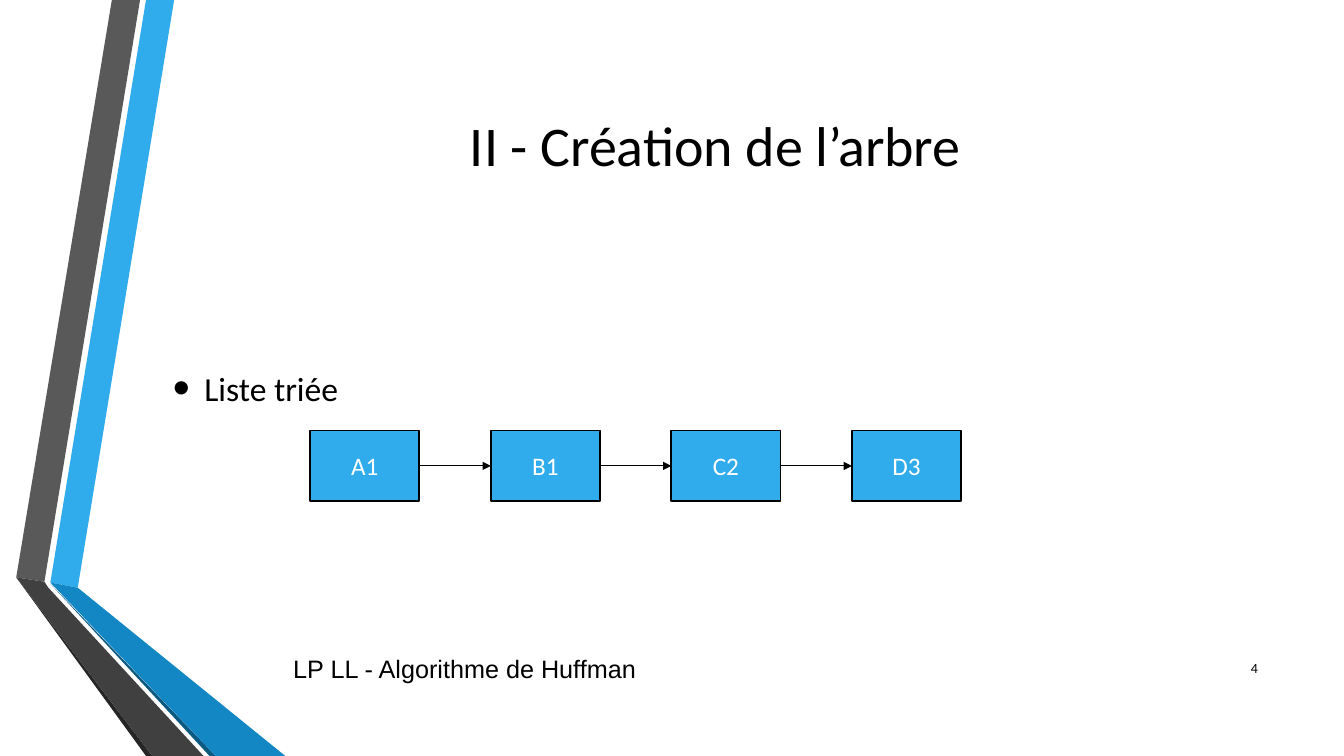
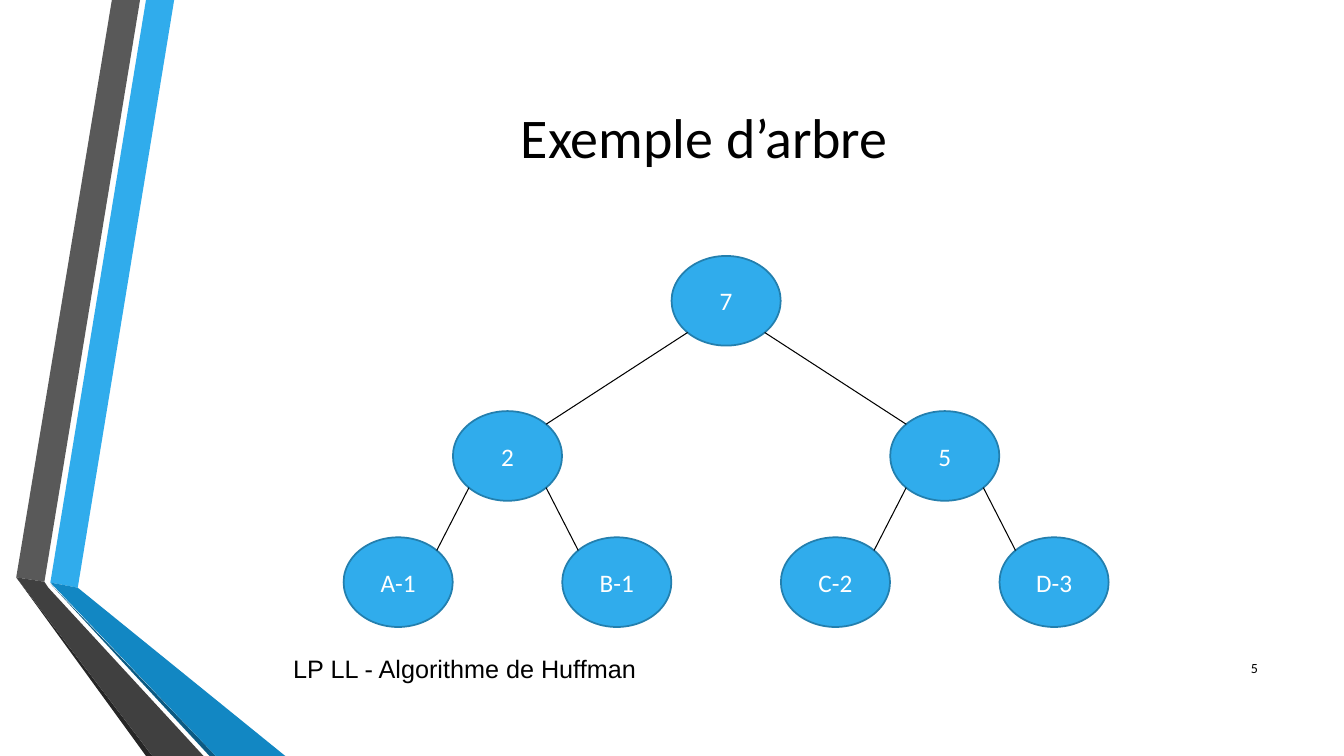
from dataclasses import dataclass
from math import sqrt

from lxml import etree
from pptx import Presentation
from pptx.dml.color import RGBColor
from pptx.enum.shapes import MSO_CONNECTOR, MSO_SHAPE
from pptx.enum.text import MSO_ANCHOR, PP_ALIGN
from pptx.oxml.ns import qn
from pptx.util import Cm, Pt

LEFT, CENTER, RIGHT = PP_ALIGN.LEFT, PP_ALIGN.CENTER, PP_ALIGN.RIGHT
MIDDLE = MSO_ANCHOR.MIDDLE
RECTANGLE, OVAL = MSO_SHAPE.RECTANGLE, MSO_SHAPE.OVAL
STRAIGHT = MSO_CONNECTOR.STRAIGHT


@dataclass(frozen=True)
class Theme:
    font: str = "Calibri"
    footer_font: str = "Arial"
    text: str = "000000"
    node_text: str = "FFFFFF"
    accent: str = "30ACEC"
    accent_line: str = "237FAE"
    accent_dark: str = "1287C3"
    accent_shadow: str = "0C5A82"
    gray: str = "595959"
    gray_dark: str = "404040"
    gray_shadow: str = "262626"
    title_size: int = 40
    body_size: int = 24
    node_size: int = 18
    footer_size: int = 18
    number_size: int = 10
    node_line: float = 1.25
    link_line: float = 0.75


THEME = Theme()
WIDTH, HEIGHT = 33.87, 19.05
FOOTER = "LP LL - Algorithme de Huffman"

BANDS = [
    (THEME.accent, [(1.27, 14.68), (1.96, 14.81), (4.39, 0), (3.68, 0)]),
    (THEME.gray, [(3.53, 0), (2.82, 0), (0.41, 14.55), (1.12, 14.66)]),
    (THEME.gray_shadow, [(0.41, 14.55), (3.68, HEIGHT), (3.84, HEIGHT)]),
    (THEME.accent_shadow, [(1.27, 14.71), (5.28, HEIGHT), (5.44, HEIGHT)]),
    (THEME.accent_dark, [(1.27, 14.68), (5.44, HEIGHT), (7.19, HEIGHT), (1.96, 14.81)]),
    (THEME.gray_dark, [(5.13, HEIGHT), (1.22, 14.81), (1.12, 14.66), (0.41, 14.55), (3.84, HEIGHT)]),
]

LIST_ITEMS = ["A1", "B1", "C2", "D3"]
LIST_LEFT, LIST_TOP, LIST_PITCH = 7.82, 10.85, 4.55
BOX_W, BOX_H = 2.75, 1.78

TREE = ("7", [("2", ["A-1", "B-1"]), ("5", ["C-2", "D-3"])])
LEVEL_TOPS = [6.45, 10.36, 13.54]
LEAF_LEFT, LEAF_PITCH = 8.66, 5.51
OVAL_W, OVAL_H = 2.75, 2.26


def rgb(color):
    return RGBColor.from_string(color)


def write(tf, text, size, color=THEME.text, align=LEFT, font=THEME.font):
    tf.word_wrap = True
    tf.vertical_anchor = MIDDLE
    p = tf.paragraphs[0]
    p.text = text
    p.alignment = align
    p.font.name = font
    p.font.size = Pt(size)
    p.font.color.rgb = rgb(color)
    return p


def add_text(s, box, text, size, **style):
    sp = s.shapes.add_textbox(*map(Cm, box))
    return write(sp.text_frame, text, size, **style)


def add_bullet(s, box, text):
    p = add_text(s, box, text, THEME.body_size)
    pPr = p._p.get_or_add_pPr()
    pPr.set("marL", str(Cm(0.79)))
    pPr.set("indent", str(-Cm(0.79)))
    bullet = [("buSzPct", "val", "145000"), ("buFont", "typeface", "Arial"), ("buChar", "char", "•")]
    for i, (tag, key, value) in enumerate(bullet):
        el = etree.Element(qn(f"a:{tag}"))
        el.set(key, value)
        pPr.insert(i, el)


def add_band(s, color, points):
    start, *rest = [(Cm(x), Cm(y)) for x, y in points]
    builder = s.shapes.build_freeform(*start)
    builder.add_line_segments(rest, close=True)
    sp = builder.convert_to_shape()
    sp.shadow.inherit = False
    sp.fill.solid()
    sp.fill.fore_color.rgb = rgb(color)
    sp.line.fill.background()


def add_node(s, shape, box, text, line_color):
    sp = s.shapes.add_shape(shape, *map(Cm, box))
    sp.shadow.inherit = False
    sp.fill.solid()
    sp.fill.fore_color.rgb = rgb(THEME.accent)
    sp.line.color.rgb = rgb(line_color)
    sp.line.width = Pt(THEME.node_line)
    write(sp.text_frame, text, THEME.node_size, THEME.node_text, CENTER)
    return sp


def add_link(s, start, end, arrow=False):
    cx = s.shapes.add_connector(STRAIGHT, *map(Cm, start + end))
    cx.line.color.rgb = rgb(THEME.text)
    cx.line.width = Pt(THEME.link_line)
    if arrow:
        tail = etree.SubElement(cx.line._get_or_add_ln(), qn("a:tailEnd"))
        tail.set("type", "triangle")
    etree.SubElement(cx._element.spPr, qn("a:effectLst"))
    return cx


def add_base_slide(prs, title, title_left, title_top, number):
    s = prs.slides.add_slide(prs.slide_layouts[6])
    for color, points in BANDS:
        add_band(s, color, points)
    add_text(s, (title_left, title_top, 27.84, 4.88), title, THEME.title_size, align=CENTER)
    add_text(s, (7.14, 16.33, 19.69, 1.02), FOOTER, THEME.footer_size, font=THEME.footer_font)
    add_text(s, (30.43, 16.31, 1.52, 1.02), str(number), THEME.number_size, align=RIGHT)
    return s


def add_linked_list(s, items):
    boxes = [
        add_node(s, RECTANGLE, (LIST_LEFT + i * LIST_PITCH, LIST_TOP, BOX_W, BOX_H), text, THEME.text)
        for i, text in enumerate(items)
    ]
    for before, after in zip(boxes, boxes[1:]):
        cx = add_link(s, (0, 0), (0, 0), arrow=True)
        cx.begin_connect(before, 3)
        cx.end_connect(after, 1)


def oval_corner(left, top, side, below):
    dx, dy = OVAL_W / sqrt(8), OVAL_H / sqrt(8)
    return left + OVAL_W / 2 + side * dx, top + OVAL_H / 2 + below * dy


def add_tree(s, tree, level=0, first_leaf=0):
    text, children = (tree, []) if isinstance(tree, str) else tree
    top = LEVEL_TOPS[level]
    lefts, leaves = [], 0
    for child in children:
        child_left, count = add_tree(s, child, level + 1, first_leaf + leaves)
        lefts.append(child_left)
        leaves += count
    left = sum(lefts) / len(lefts) if lefts else LEAF_LEFT + first_leaf * LEAF_PITCH
    add_node(s, OVAL, (left, top, OVAL_W, OVAL_H), text, THEME.accent_line)
    for child_left, side in zip(lefts, (-1, 1)):
        child_top = LEVEL_TOPS[level + 1]
        add_link(s, oval_corner(child_left, child_top, -side, -1), oval_corner(left, top, side, 1))
    return left, max(leaves, 1)


def main():
    prs = Presentation()
    prs.slide_width, prs.slide_height = Cm(WIDTH), Cm(HEIGHT)

    s = add_base_slide(prs, "II - Création de l’arbre", 4.11, 1.19, 4)
    add_bullet(s, (4.11, 9.13, 27.84, 1.3), "Liste triée")
    add_linked_list(s, LIST_ITEMS)

    s = add_base_slide(prs, "Exemple d’arbre", 3.83, 0.99, 5)
    add_tree(s, TREE)

    prs.save("out.pptx")


if __name__ == "__main__":
    main()
